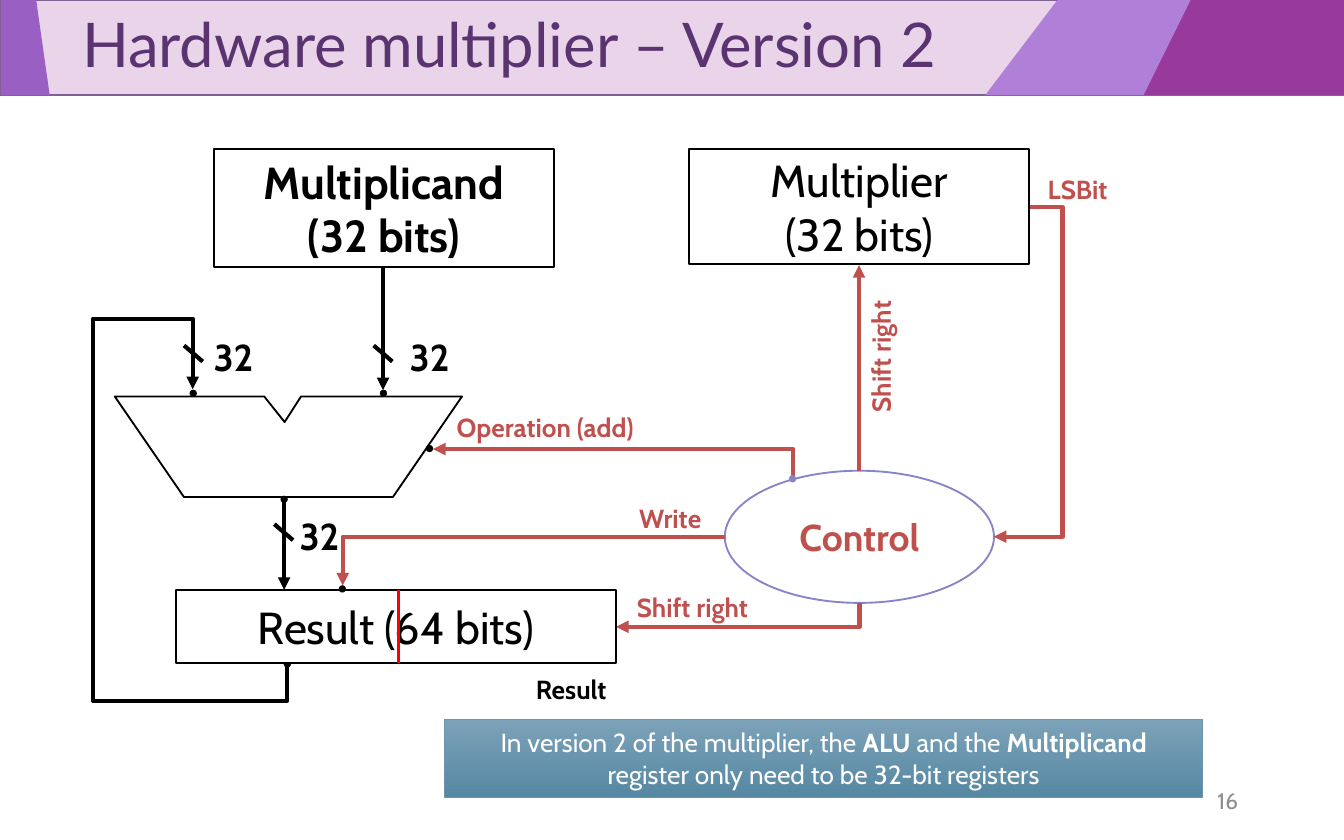
"""Builds the slide that shows the second hardware multiplier design."""
from dataclasses import dataclass

import lxml.etree
import pptx
import pptx.dml.color
import pptx.enum.shapes
import pptx.enum.text
import pptx.oxml.ns
import pptx.util

Pt = pptx.util.Pt
Shapes = pptx.enum.shapes.MSO_SHAPE
Connectors = pptx.enum.shapes.MSO_CONNECTOR
Align = pptx.enum.text.PP_ALIGN
Anchor = pptx.enum.text.MSO_ANCHOR
AutoSize = pptx.enum.text.MSO_AUTO_SIZE
qn = pptx.oxml.ns.qn


@dataclass(frozen=True)
class Theme:
    body_font: str = "Cabin"
    title_font: str = "Lato"
    title: str = "5A3471"
    band: str = "E9D4E9"
    band_line: str = "806292"
    lilac: str = "B07FD8"
    violet: str = "995FC2"
    plum: str = "98399D"
    ink: str = "000000"
    paper: str = "FFFFFF"
    signal: str = "C0504D"
    control: str = "8784C7"
    divider: str = "FF0000"
    number: str = "8C8C8C"
    note_top: str = "7CA2B8"
    note_bottom: str = "5688A3"
    note_line: str = "6997AF"
    title_size: float = 33
    register_size: float = 24
    value_size: float = 20
    label_size: float = 14
    number_size: float = 12
    wire_width: float = 2.25
    outline_width: float = 1


@dataclass(frozen=True)
class Box:
    left: float
    top: float
    width: float
    height: float

    def lengths(self) -> tuple:
        return Pt(self.left), Pt(self.top), Pt(self.width), Pt(self.height)


@dataclass(frozen=True)
class Label:
    text: str
    box: Box
    color: str
    size: float
    rotation: float = 0


@dataclass(frozen=True)
class Node:
    text: str
    box: Box
    kind: int
    line: str
    color: str
    size: float
    bold: bool = False


@dataclass(frozen=True)
class Elbow:
    kind: str
    box: Box
    color: str
    rotation: int = 0
    flips: str = ""
    adjustments: tuple = ()


THEME = Theme()


def rgb(color: str):
    return pptx.dml.color.RGBColor.from_string(color)


def paint(shape, fill: str, line: str = "", width: float = THEME.outline_width) -> None:
    shape.shadow.inherit = False
    shape.fill.solid()
    shape.fill.fore_color.rgb = rgb(fill)
    if line:
        shape.line.color.rgb = rgb(line)
        shape.line.width = Pt(width)
    else:
        shape.line.fill.background()


def style(para, color: str, size: float, bold: bool = False, font: str = THEME.body_font) -> None:
    para.font.name, para.font.size, para.font.bold = font, Pt(size), bold
    para.font.color.rgb = rgb(color)


def draw_outline(page, points: list, fill: str, line: str = "") -> None:
    corners = [(Pt(x), Pt(y)) for x, y in points]
    builder = page.shapes.build_freeform(*corners[0], scale=1.0)
    builder.add_line_segments(corners[1:], close=True)
    paint(builder.convert_to_shape(), fill, line)


def draw_node(page, node: Node) -> None:
    shape = page.shapes.add_shape(node.kind, *node.box.lengths())
    paint(shape, THEME.paper, node.line)
    shape.text_frame.vertical_anchor = Anchor.MIDDLE
    para = shape.text_frame.paragraphs[0]
    para.text, para.alignment = node.text, Align.CENTER
    style(para, node.color, node.size, node.bold)


def draw_label(page, label: Label) -> None:
    box = page.shapes.add_textbox(*label.box.lengths())
    box.rotation = label.rotation
    box.text_frame.word_wrap = False
    box.text_frame.auto_size = AutoSize.SHAPE_TO_FIT_TEXT
    para = box.text_frame.paragraphs[0]
    para.text = label.text
    style(para, label.color, label.size, True)


def draw_dot(page, x: float, y: float, color: str = THEME.ink) -> None:
    size = 3.6
    dot = page.shapes.add_shape(Shapes.OVAL, *Box(x - size / 2, y - size / 2, size, size).lengths())
    paint(dot, color, color, 0.25)


def finish_wire(wire, color: str, width: float, arrow: bool) -> None:
    wire.line.color.rgb = rgb(color)
    wire.line.width = Pt(width)
    properties = wire._element.spPr
    if arrow:
        lxml.etree.SubElement(properties.find(qn("a:ln")), qn("a:tailEnd"), type="triangle")
    lxml.etree.SubElement(properties, qn("a:effectLst"))


def draw_line(page, start: tuple, end: tuple, color: str = THEME.ink,
              width: float = THEME.wire_width, arrow: bool = False) -> None:
    ends = [Pt(value) for value in (*start, *end)]
    finish_wire(page.shapes.add_connector(Connectors.STRAIGHT, *ends), color, width, arrow)


def draw_elbow(page, elbow: Elbow) -> None:
    left, top, width, height = elbow.box.lengths()
    wire = page.shapes.add_connector(Connectors.ELBOW, left, top, left + width, top + height)
    properties = wire._element.spPr
    frame = properties.find(qn("a:xfrm"))
    frame.set("rot", str(elbow.rotation * 60000))
    for flip in elbow.flips:
        frame.set("flip" + flip, "1")
    geometry = properties.find(qn("a:prstGeom"))
    geometry.set("prst", elbow.kind)
    guides = geometry.find(qn("a:avLst"))
    for index, value in enumerate(elbow.adjustments, 1):
        name = "adj" if len(elbow.adjustments) == 1 else f"adj{index}"
        name = "adj1" if name == "adj" else name
        lxml.etree.SubElement(guides, qn("a:gd"), name=name, fmla=f"val {round(value * 100000)}")
    finish_wire(wire, elbow.color, THEME.wire_width, True)


def draw_header(page) -> None:
    band = Box(0, 0, 720, 51)
    paint(page.shapes.add_shape(Shapes.RECTANGLE, *band.lengths()), THEME.band, THEME.band_line)
    for top_left, top_right, bottom_right, bottom_left, fill in (
            (566.5, 720, 720, 527.8, THEME.lilac), (0.5, 19.4, 26.6, 0.5, THEME.violet),
            (637.9, 720, 720, 612.7, THEME.plum)):
        draw_outline(page, [(top_left, 0), (top_right, 0), (bottom_right, 51), (bottom_left, 51)], fill)
    title = page.shapes.title
    title.left, title.top, title.width, title.height = band.lengths()
    frame = title.text_frame
    frame.margin_left = Pt(44)
    frame.vertical_anchor, frame.auto_size = Anchor.MIDDLE, AutoSize.NONE
    para = frame.paragraphs[0]
    para.text, para.alignment, para.line_spacing = "Hardware multiplier – Version 2", Align.LEFT, 0.9
    style(para, THEME.title, THEME.title_size, font=THEME.title_font)
    page.shapes._spTree.append(title._element)


def draw_note(page) -> None:
    note = page.shapes.add_shape(Shapes.FLOWCHART_PROCESS, *Box(238.3, 385.2, 406, 41.8).lengths())
    paint(note, THEME.note_top, THEME.note_line, 0.5)
    note.fill.gradient()
    note.fill.gradient_angle = 270
    for stop, color in zip(note.fill.gradient_stops, (THEME.note_top, THEME.note_bottom)):
        stop.color.rgb = rgb(color)
    note.text_frame.vertical_anchor = Anchor.MIDDLE
    para = note.text_frame.paragraphs[0]
    para.alignment = Align.CENTER
    style(para, THEME.paper, THEME.label_size)
    for text, bold in (("In version 2 of the multiplier, the ", False), ("ALU", True), (" and the ", False),
                       ("Multiplicand", True), (" register only need to be 32-bit registers", False)):
        span = para.add_run()
        span.text, span.font.bold = text, bold


def draw_page_number(page) -> None:
    box = page.shapes.add_textbox(*Box(508.3, 416.9, 162, 23.8).lengths())
    box.text_frame.word_wrap = True
    box.text_frame.vertical_anchor = Anchor.MIDDLE
    para = box.text_frame.paragraphs[0]
    para.text, para.alignment = "16", Align.RIGHT
    style(para, THEME.number, THEME.number_size)


def draw_datapath(page) -> None:
    draw_line(page, (205.2, 143), (205.2, 209), arrow=True)
    draw_elbow(page, Elbow("bentConnector5", Box(54, 257.8, 149, 50.4), THEME.ink, 90, "H",
                           (-0.121, 2.058, 1.254)))
    draw_line(page, (152.2, 269), (152.2, 316), arrow=True)
    for x, y, left in ((103.6, 189.4, 107.3), (205.2, 189.4, 212.4), (152, 285.1, 153.4)):
        draw_line(page, (x - 5, y - 4.3), (x + 5, y + 4.3))
        draw_label(page, Label("32", Box(left, y - 13.7, 37.4, 31.5), THEME.ink, THEME.value_size))
    draw_outline(page, [(61.5, 212.4), (141.6, 212.4), (152.5, 226.1), (161.3, 212.4), (247.5, 212.4),
                        (210.5, 266.3), (98.6, 266.3)], THEME.paper, THEME.ink)
    for x, y in ((103.5, 210.7), (205.4, 210.7), (152.2, 267.5), (230.1, 240.3), (153.9, 355.8)):
        draw_dot(page, x, y)


def draw_control(page) -> None:
    draw_node(page, Node("Control", Box(388.3, 252.2, 144.2, 70.8), Shapes.OVAL, THEME.control,
                         THEME.signal, THEME.value_size, True))
    draw_line(page, (460.2, 252.2), (460.2, 142), THEME.signal, arrow=True)
    for kind, box, rotation, flips, adjustments in (
            ("bentConnector2", Box(388.8, 264.2, 12.8, 130.4), 90, "", ()),
            ("bentConnector2", Box(321.2, 151.4, 14.6, 193), 270, "V", ()),
            ("bentConnector2", Box(183.6, 287.5, 204.8, 26.2), 180, "V", ()),
            ("bentConnector3", Box(532.4, 111, 18.9, 176.5), 0, "H", (-0.949,))):
        draw_elbow(page, Elbow(kind, box, THEME.signal, rotation, flips, adjustments))
    draw_dot(page, 424.6, 256.5, THEME.control)
    for text, left, top, width, color, rotation in (
            ("Shift right", 334.1, 313.2, 82.8, THEME.signal, 0),
            ("Shift right", 430.6, 174.2, 82.8, THEME.signal, 270),
            ("LSBit", 554.2, 89.3, 48.2, THEME.signal, 0), ("Write", 335.3, 265.7, 51.8, THEME.signal, 0),
            ("Operation (add)", 237.6, 216.9, 121.7, THEME.signal, 0),
            ("Result", 280, 357.1, 55.4, THEME.ink, 0)):
        draw_label(page, Label(text, Box(left, top, width, 24.5), color, THEME.label_size, rotation))


def draw_registers(page) -> None:
    for text, box, bold in (("Result (64 bits)", Box(94.3, 316.1, 235.7, 39), False),
                            ("Multiplier\n(32 bits)", Box(369.2, 79.9, 182.2, 61.8), False),
                            ("Multiplicand\n(32 bits)", Box(114.6, 79.9, 182.2, 63), True)):
        draw_node(page, Node(text, box, Shapes.RECTANGLE, THEME.ink, THEME.ink, THEME.register_size, bold))
    draw_line(page, (213.6, 355), (213.6, 316.1), THEME.divider, 1.5)
    draw_dot(page, 183.4, 315.5)


def main() -> None:
    deck = pptx.Presentation()
    deck.slide_width, deck.slide_height = Pt(720), Pt(450)
    page = deck.slides.add_slide(deck.slide_layouts[5])
    for draw in (draw_header, draw_page_number, draw_note, draw_datapath, draw_control, draw_registers):
        draw(page)
    deck.save("out.pptx")


if __name__ == "__main__":
    main()
